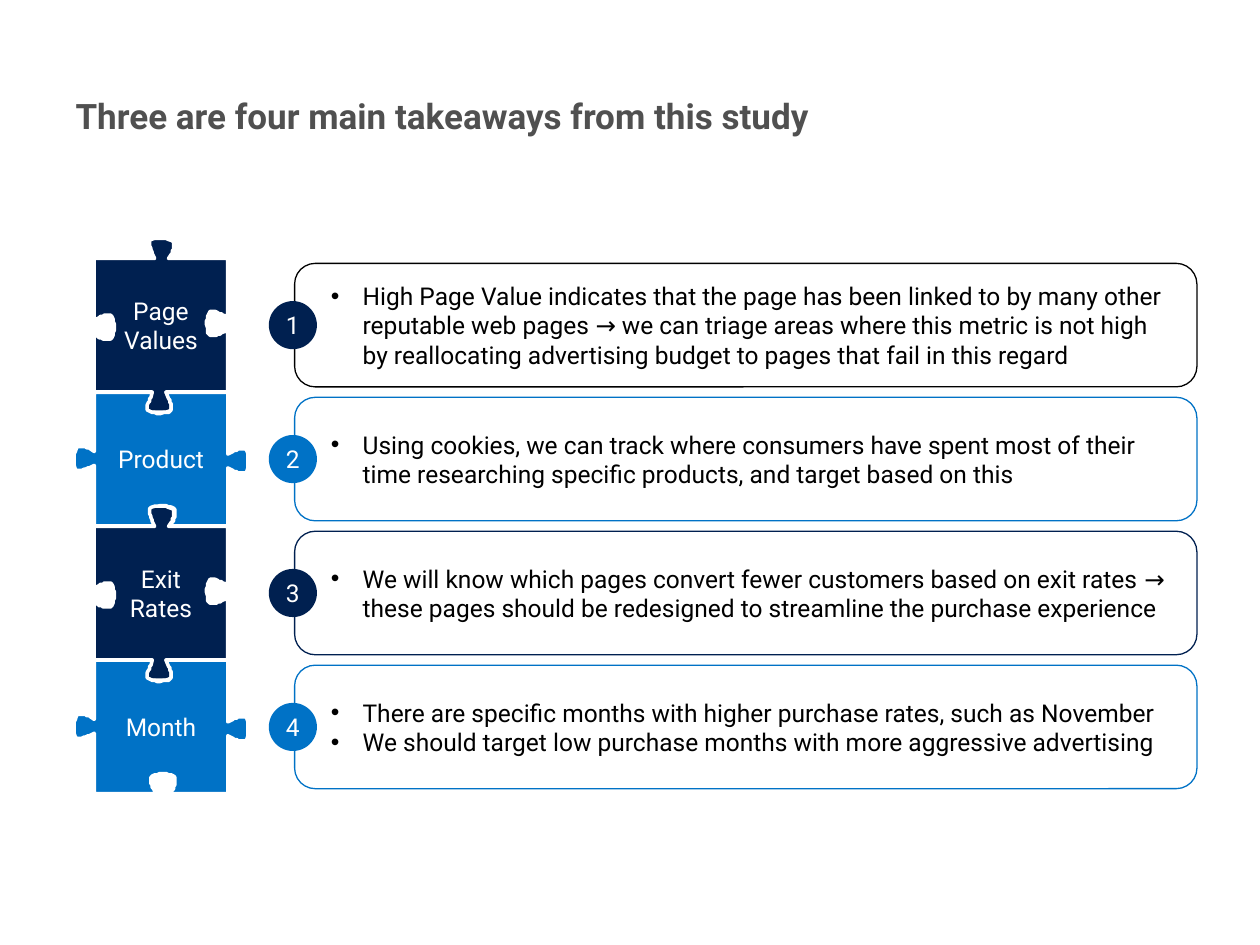
"""Build a slide of four takeaways beside a column of jigsaw pieces."""
from lxml.etree import SubElement
from pptx import Presentation
from pptx.dml.color import RGBColor
from pptx.enum.shapes import MSO_SHAPE
from pptx.enum.text import MSO_ANCHOR, PP_ALIGN
from pptx.oxml.ns import qn
from pptx.util import Cm, Pt

HUES = {"navy": "002050", "blue": "0072C6", "black": "000000", "white": "FFFFFF", "grey": "505050"}
SIDE = 106
EDGE = [
    (0, 0), (46, 0), (45, 4), (43, 8, 41, 12, 42, 14), (44, 15), (46, 16),
    (51, 17, 59, 17, 61, 14), (62, 13, 61, 9, 59, 5), (57, 0), (106, 0),
    (106, 49), (110, 47), (114, 45, 118, 44, 120, 45), (123, 47, 123, 62, 120, 64),
    (118, 65, 114, 64, 110, 62), (106, 60), (106, 106),
    (60, 106), (62, 103), (64, 99, 65, 95, 64, 93), (63, 92), (61, 91),
    (56, 90, 47, 90, 45, 93), (44, 94, 45, 98, 47, 102), (49, 106), (0, 106),
    (0, 58), (-4, 60), (-8, 61, -12, 63, -14, 62), (-17, 60, -17, 45, -13, 43),
    (-11, 42, -7, 43, -3, 45), (0, 47),
]
ROWS = [
    (["Page Values"], "navy", "black", [
        "High Page Value indicates that the page has been linked to by many other reputable web pages "
        "→ we can triage areas where this metric is not high by reallocating advertising budget "
        "to pages that fail in this regard"]),
    (["Product"], "blue", "blue", [
        "Using cookies, we can track where consumers have spent most of their time researching "
        "specific products, and target based on this"]),
    (["Exit", "Rates"], "navy", "navy", [
        "We will know which pages convert fewer customers based on exit rates "
        "→ these pages should be redesigned to streamline the purchase experience"]),
    (["Month"], "blue", "blue", [
        "There are specific months with higher purchase rates, such as November",
        "We should target low purchase months with more aggressive advertising"]),
]
TOP, STEP = 5.21, 2.7


def color(name):
    return RGBColor.from_string(HUES[name])


def write(shape, lines, hue, align=PP_ALIGN.CENTER, size=14):
    shape.shadow.inherit = False
    frame = shape.text_frame
    frame.word_wrap = True
    frame.vertical_anchor = MSO_ANCHOR.MIDDLE
    for i, line in enumerate(lines):
        para = frame.paragraphs[0] if i == 0 else frame.add_paragraph()
        para.alignment = align
        run = para.add_run()
        run.text = line
        run.font.name = "Roboto"
        run.font.size = Pt(size)
        run.font.color.rgb = color(hue)
    return frame


deck = Presentation()
deck.slide_width, deck.slide_height = Cm(25.4), Cm(19.05)
slide = deck.slides.add_slide(deck.slide_layouts[5])
shapes = slide.shapes

title = shapes.title
title.left, title.top, title.width, title.height = Cm(1.27), Cm(1.78), Cm(22.86), Cm(2.59)
frame = write(title, ["Three are four main takeaways from this study"], "grey", PP_ALIGN.LEFT, 20)
frame.vertical_anchor = MSO_ANCHOR.TOP
frame.paragraphs[0].runs[0].font.bold = True

points = []
for step in EDGE:
    if len(step) == 2:
        points.append(step)
        continue
    nodes = [points[-1], step[:2], step[2:4], step[4:]]
    for i in range(1, 9):
        t = i / 8
        parts = ((1 - t) ** 3, 3 * t * (1 - t) ** 2, 3 * t * t * (1 - t), t ** 3)
        points.append(tuple(sum(p * n[axis] for p, n in zip(parts, nodes)) for axis in (0, 1)))
turned = [(SIDE - y, x) for x, y in points]

for i, (label, hue, rim, notes) in enumerate(ROWS):
    edge = turned if i % 2 == 0 else points
    pen = shapes.build_freeform(*edge[0], scale=Cm(2.54) / 100)
    pen.add_line_segments(edge[1:], close=True)
    piece = pen.convert_to_shape(Cm(1.9), Cm(TOP + i * STEP))
    piece.fill.solid()
    piece.fill.fore_color.rgb = color(hue)
    piece.line.color.rgb = color("white")
    piece.line.width = Pt(2)
    write(piece, label, "white")

for i, (label, hue, rim, notes) in enumerate(ROWS):
    box = shapes.add_shape(MSO_SHAPE.ROUNDED_RECTANGLE, Cm(5.94), Cm(TOP + 0.1 + i * STEP), Cm(18.19), Cm(2.49))
    box.fill.background()
    box.line.color.rgb = color(rim)
    box.line.width = Pt(0.75)
    frame = write(box, notes, "black", PP_ALIGN.LEFT)
    frame.margin_left = Cm(0.61)
    for para in frame.paragraphs:
        props = para._p.get_or_add_pPr()
        props.set("marL", str(Cm(0.64)))
        props.set("indent", str(-Cm(0.64)))
        SubElement(props, qn("a:buFont")).set("typeface", "Arial")
        SubElement(props, qn("a:buChar")).set("char", "•")

for i, (label, hue, rim, notes) in enumerate(ROWS):
    dot = shapes.add_shape(MSO_SHAPE.OVAL, Cm(5.42), Cm(TOP + 0.86 + i * STEP), Cm(0.97), Cm(0.97))
    dot.fill.solid()
    dot.fill.fore_color.rgb = color(hue)
    dot.line.fill.background()
    frame = write(dot, [str(i + 1)], "white")
    frame.margin_left = frame.margin_right = frame.margin_top = frame.margin_bottom = 0

deck.save("out.pptx")
